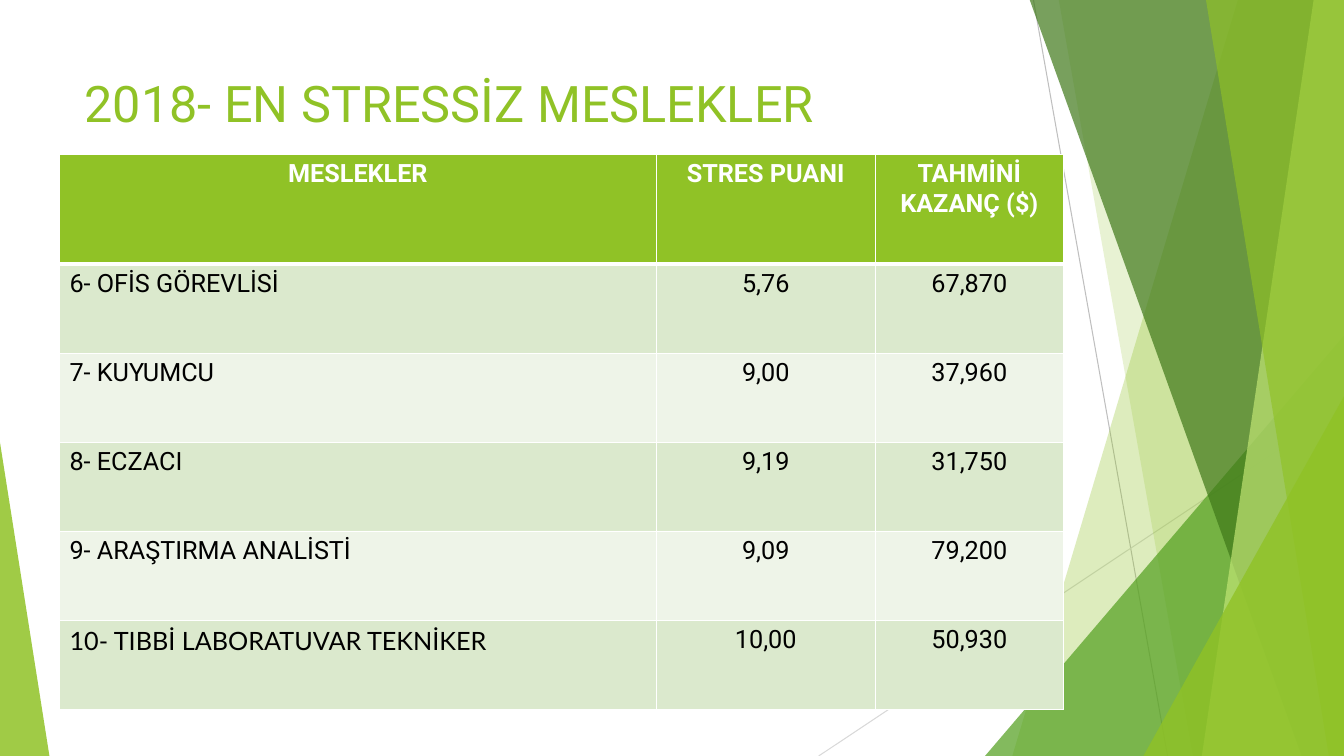
from lxml.etree import SubElement
from pptx import Presentation
from pptx.dml.color import RGBColor
from pptx.enum.shapes import MSO_CONNECTOR, MSO_SHAPE
from pptx.enum.text import MSO_ANCHOR, PP_ALIGN
from pptx.oxml.ns import qn
from pptx.util import Inches, Pt

THEME = {
    "green": "90C226", "mid": "54A021", "dark": "3F7819", "lime": "C0E474",
    "white": "FFFFFF", "black": "000000", "band": ["DBE9CD", "EEF4E8"],
    "font": "Roboto", "alt_font": "Lato", "title_size": 36, "table_size": 18,
}
SLIDE_W, SLIDE_H = 13.33, 7.5

TITLE = "2018- EN STRESSİZ MESLEKLER"
HEADER = ("MESLEKLER", "STRES PUANI", "TAHMİNİ KAZANÇ ($)")
JOBS = [
    ("6- OFİS GÖREVLİSİ", "5,76", "67,870"),
    ("7- KUYUMCU", "9,00", "37,960"),
    ("8- ECZACI", "9,19", "31,750"),
    ("9- ARAŞTIRMA ANALİSTİ", "9,09", "79,200"),
    ("10- TIBBİ LABORATUVAR TEKNİKER", "10,00", "50,930"),
]
COL_W = (5.92, 2.17, 1.87)
HEADER_H, ROW_H = 1.09, 0.884

# start x, start y, end x, end y, colour
LINES = [(10.25, 0, 11.58, SLIDE_H, "BFBFBF"), (SLIDE_W, 4.03, 8.12, SLIDE_H, "D9D9D9")]
# Back to front. panel: top-left x, bottom-left x; triangle: left, top, width, apex
DECOR = [
    ("panel", (12.28, 10.04), "green", 30),
    ("panel", (10.5, 11.83), "green", 20),
    ("triangle", (9.77, 3.33, 3.56, 1), "mid", 72),
    ("panel", (10.21, 12.91), "dark", 70),
    ("panel", (13.03, 11.92), "lime", 70),
    ("panel", (11.96, 13.18), "green", 65),
    ("triangle", (11.34, 3.93, 1.99, 1), "green", 80),
    ("triangle", (0, 4.39, 0.49, 0), "green", 85),
]


def rgb(color):
    return RGBColor.from_string(color)


def add_line(s, x1, y1, x2, y2, color):
    line = s.shapes.add_connector(MSO_CONNECTOR.STRAIGHT, *map(Inches, (x1, y1, x2, y2)))
    line.line.color.rgb = rgb(color)
    line.line.width = Pt(0.75)
    SubElement(line.element.spPr, qn("a:effectLst"))


def add_panel(s, top_x, bottom_x):
    """Draw a slanted panel that reaches the right edge of the slide."""
    corners = [(top_x, -0.01), (SLIDE_W, -0.01), (SLIDE_W, SLIDE_H), (bottom_x, SLIDE_H)]
    points = [(Inches(x), Inches(y)) for x, y in corners]
    builder = s.shapes.build_freeform(*points[0])
    builder.add_line_segments(points[1:], close=True)
    return builder.convert_to_shape()


def add_triangle(s, left, top, width, apex):
    """Draw a triangle that stands on the bottom edge of the slide."""
    box = map(Inches, (left, top, width, SLIDE_H - top))
    sp = s.shapes.add_shape(MSO_SHAPE.ISOSCELES_TRIANGLE, *box)
    sp.adjustments[0] = apex
    return sp


def paint(sp, color, opacity):
    sp.shadow.inherit = False
    sp.line.fill.background()
    sp.fill.solid()
    sp.fill.fore_color.rgb = rgb(color)
    clr = sp.element.spPr.find(qn("a:solidFill"))[0]
    SubElement(clr, qn("a:alpha"), val=str(opacity * 1000))


def write(tf, text, size, color, font=THEME["font"], bold=False, align=PP_ALIGN.LEFT):
    tf.word_wrap = True
    p = tf.paragraphs[0]
    p.alignment = align
    r = p.add_run()
    r.text = text
    r.font.name, r.font.size, r.font.bold = font, Pt(size), bold
    r.font.color.rgb = rgb(color)


def set_borders(cell, row):
    """Draw white borders, thicker between the header and the first job."""
    heavy = {(0, "B"), (1, "T")}
    for side in "LRTB":
        width = Pt(3 if (row, side) in heavy else 1)
        ln = SubElement(cell._tc.get_or_add_tcPr(), qn(f"a:ln{side}"), w=str(width))
        SubElement(SubElement(ln, qn("a:solidFill")), qn("a:srgbClr"), val=THEME["white"])


def add_job_table(s):
    rows = [HEADER, *JOBS]
    height = HEADER_H + ROW_H * len(JOBS)
    box = map(Inches, (0.59, 1.53, sum(COL_W), height))
    table = s.shapes.add_table(len(rows), len(COL_W), *box).table
    for column, width in zip(table.columns, COL_W):
        column.width = Inches(width)
    for i, row in enumerate(rows):
        table.rows[i].height = Inches(ROW_H if i else HEADER_H)
        for j, text in enumerate(row):
            cell = table.cell(i, j)
            set_borders(cell, i)
            cell.fill.solid()
            cell.fill.fore_color.rgb = rgb(THEME["band"][(i - 1) % 2] if i else THEME["green"])
            last_job = i == len(JOBS) and j == 0
            write(cell.text_frame, text, THEME["table_size"],
                  THEME["black"] if i else THEME["white"],
                  font=THEME["alt_font"] if last_job else THEME["font"], bold=i == 0,
                  align=PP_ALIGN.LEFT if i and j == 0 else PP_ALIGN.CENTER)


def main():
    prs = Presentation()
    prs.slide_width, prs.slide_height = Inches(SLIDE_W), Inches(SLIDE_H)
    s = prs.slides.add_slide(prs.slide_layouts[6])
    for line in LINES:
        add_line(s, *line)
    draw = {"panel": add_panel, "triangle": add_triangle}
    for kind, place, color, opacity in DECOR:
        paint(draw[kind](s, *place), THEME[color], opacity)
    title = s.shapes.add_textbox(*map(Inches, (0.74, 0.67, 9.4, 1.44)))
    title.text_frame.vertical_anchor = MSO_ANCHOR.TOP
    write(title.text_frame, TITLE, THEME["title_size"], THEME["green"])
    add_job_table(s)
    prs.save("out.pptx")


if __name__ == "__main__":
    main()
